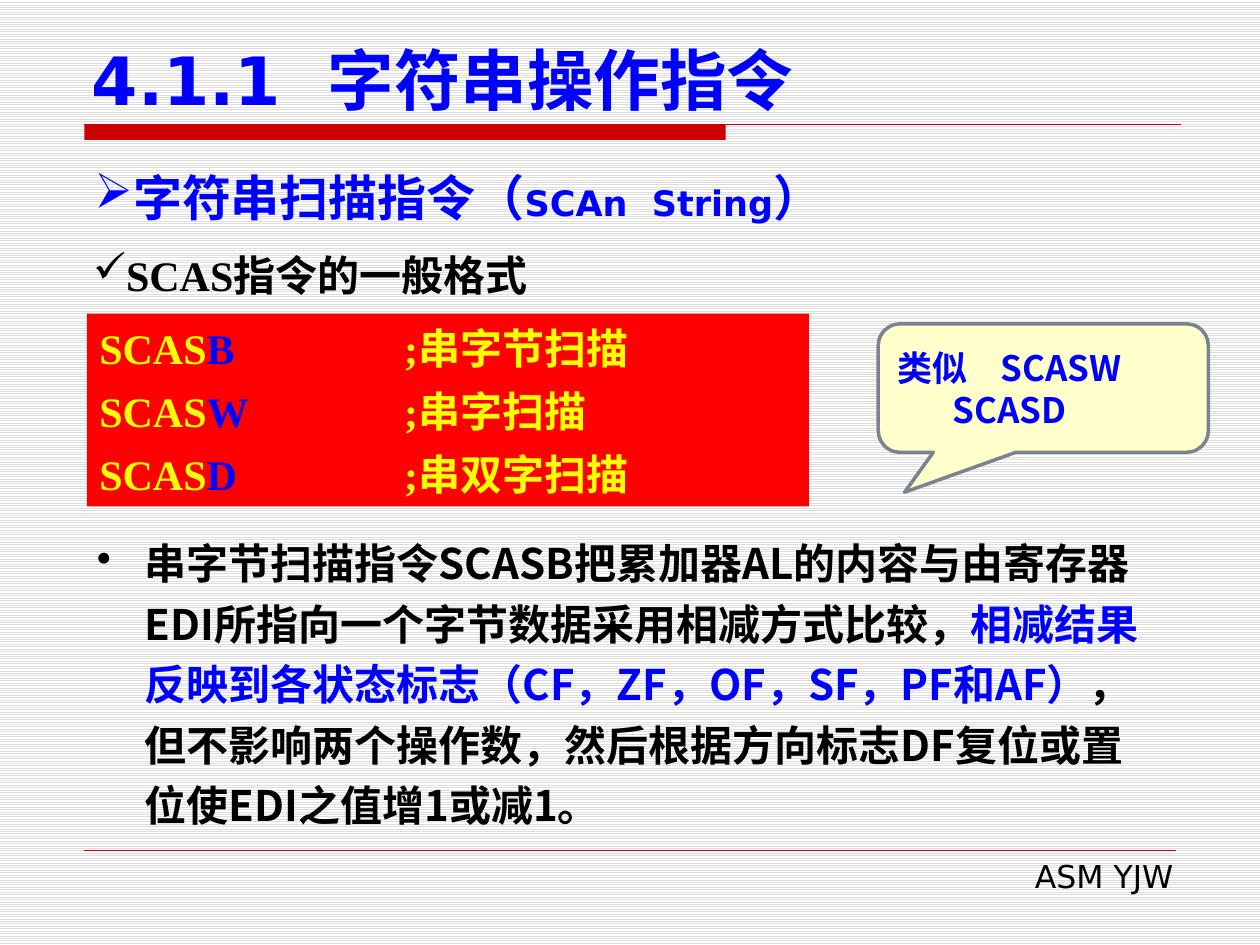
from lxml.etree import SubElement as Sub
from pptx import Presentation
from pptx.dml.color import RGBColor
from pptx.enum.dml import MSO_PATTERN as Pat
from pptx.enum.shapes import MSO_CONNECTOR as Link, MSO_SHAPE as Kind
from pptx.enum.text import MSO_ANCHOR as Anchor, PP_ALIGN as Align
from pptx.oxml.ns import qn
from pptx.util import Inches, Pt

BLUE = RGBColor(0x00, 0x00, 0xFF)
BLACK = RGBColor(0x00, 0x00, 0x00)
WHITE = RGBColor(0xFF, 0xFF, 0xFF)
PALE = RGBColor(0xDD, 0xDD, 0xDD)
DARK = RGBColor(0xCC, 0x00, 0x00)
RED = RGBColor(0xFF, 0x00, 0x00)
GOLD = RGBColor(0xFF, 0xFF, 0x00)
CREAM = RGBColor(0xFF, 0xFF, 0xCC)
GREY = RGBColor(0x79, 0x84, 0x8F)
SANS, NOTO, SERIF = "DejaVu Sans", "Noto Sans CJK SC", "Times New Roman"
WIDE, HIGH = Inches(10), Inches(7.5)
COLS, ROWS = 100, 75


def col(n):
    """Return the length of n grid columns."""
    return round(WIDE * n / COLS)


def row(n):
    """Return the length of n grid rows."""
    return round(HIGH * n / ROWS)


def place(box):
    """Turn a grid box into slide lengths."""
    x, y, w, h = box
    return col(x), row(y), col(w), row(h)


def write(para, parts, face, size, bold=True):
    """Fill a paragraph with (text, colour[, size]) runs."""
    for text, tint, *own in parts:
        run = para.add_run()
        run.text = text
        font = run.font
        font.name, font.bold = face, bold
        font.size = Pt(own[0] if own else size)
        font.color.rgb = tint
        Sub(font._element, qn("a:ea"), typeface=NOTO)


def bullet(para, mark, hang=0):
    """Give a paragraph a bullet and a hanging indent."""
    props = para._p.get_or_add_pPr()
    props.set("marL", str(col(hang)))
    props.set("indent", str(-col(hang)))
    Sub(props, qn("a:buChar"), char=mark)


def tab(para, at):
    """Set one left tab stop."""
    stops = Sub(para._p.get_or_add_pPr(), qn("a:tabLst"))
    Sub(stops, qn("a:tab"), pos=str(col(at)), algn="l")


def label(slide, box, anchor=Anchor.TOP):
    """Add a wrapping text box and return its first paragraph."""
    frame = slide.shapes.add_textbox(*place(box)).text_frame
    frame.word_wrap = True
    frame.vertical_anchor = anchor
    return frame.paragraphs[0]


def block(slide, kind, box, fill, line=None):
    """Add a flat filled shape."""
    shape = slide.shapes.add_shape(kind, *place(box))
    shape.shadow.inherit = False
    shape.fill.solid()
    shape.fill.fore_color.rgb = fill
    if line is None:
        shape.line.fill.background()
    else:
        shape.line.color.rgb = line
        shape.line.width = Pt(2)
    shape.text_frame.word_wrap = True
    return shape


def rule(slide, x, y, w, width):
    """Draw a level red rule."""
    line = slide.shapes.add_connector(
        Link.STRAIGHT, col(x), row(y), col(x + w), row(y))
    line.line.color.rgb = DARK
    line.line.width = Pt(width)
    Sub(line._element.spPr, qn("a:effectLst"))


def header(slide, box):
    """Place the title over its bar and rule."""
    x, y, w, h = box
    para = label(slide, box, Anchor.BOTTOM)
    write(para, [("4.1.1  字符串操作指令", BLUE)], SANS, 38)
    block(slide, Kind.RECTANGLE, (x + 0.4, y + h, 50.9, 1.2), DARK)
    rule(slide, x + 0.4, y + h, 87, 0.75)


def footer(slide, box):
    """Place the footer rule and the author's mark."""
    x, y, w, h = box
    rule(slide, x, y, w, 0.25)
    para = label(slide, (x + 31.5, y, w - 30.7, h))
    para.alignment = Align.RIGHT
    write(para, [("ASM YJW", BLACK)], SANS, 18, False)


def topic(slide, box):
    """Place the section heading."""
    para = label(slide, box)
    para.alignment = Align.JUSTIFY
    bullet(para, "➢")
    write(para, [("字符串扫描指令（", BLUE), ("SCAn  String", BLUE, 20),
                 ("）", BLUE)], SANS, 28)


def lead(slide, box):
    """Place the line that opens the code panel."""
    para = label(slide, box)
    bullet(para, "✓")
    write(para, [("SCAS指令的一般格式", BLACK)], SERIF, 24)


def panel(slide, box):
    """Place the red panel of instruction forms."""
    frame = block(slide, Kind.RECTANGLE, box, RED).text_frame
    frame.vertical_anchor = Anchor.TOP
    forms = [("B", "串字节扫描"), ("W", "串字扫描"), ("D", "串双字扫描")]
    for i, (end, note) in enumerate(forms):
        para = frame.add_paragraph() if i else frame.paragraphs[0]
        para.alignment = Align.LEFT
        para.line_spacing = Pt(30)
        if i:
            para.space_before = Pt(6)
        tab(para, 24.2)
        write(para, [("SCAS", GOLD), (end + "\t", BLUE),
                     (";" + note, GOLD)], SERIF, 24)


def callout(slide, box):
    """Place the speech bubble."""
    shape = block(slide, Kind.ROUNDED_RECTANGULAR_CALLOUT, box, CREAM, GREY)
    for i, value in enumerate((-0.42, 0.81, 0.17)):
        shape.adjustments[i] = value
    frame = shape.text_frame
    frame.vertical_anchor = Anchor.MIDDLE
    first, last = frame.paragraphs[0], frame.add_paragraph()
    tab(first, 8.2)
    last._p.get_or_add_pPr().set("marL", str(col(4.4)))
    for para, text in ((first, "类似\tSCASW"), (last, "SCASD")):
        para.alignment = Align.LEFT
        write(para, [(text, BLUE)], NOTO, 20)


def body(slide, box):
    """Place the explanation."""
    para = label(slide, box)
    para.line_spacing = 1.2
    bullet(para, "•", 3.8)
    write(para, [
        ("串字节扫描指令SCASB把累加器AL的内容与由寄存器EDI所指向"
         "一个字节数据采用相减方式比较，", BLACK),
        ("相减结果反映到各状态标志（CF，ZF，OF，SF，PF和AF）", BLUE),
        ("，但不影响两个操作数，然后根据方向标志DF复位或置位使EDI"
         "之值增1或减1。", BLACK)], NOTO, 24)


def main():
    """Build and save the slide."""
    deck = Presentation()
    deck.slide_width, deck.slide_height = WIDE, HIGH
    slide = deck.slides.add_slide(deck.slide_layouts[6])
    back = slide.background.fill
    back.patterned()
    back.pattern = Pat.LIGHT_HORIZONTAL
    back.fore_color.rgb, back.back_color.rgb = PALE, WHITE
    header(slide, (6.3, 3.3, 87.5, 6.6))
    footer(slide, (6.7, 67.5, 86.6, 4))
    lead(slide, (6.4, 19.3, 73.3, 5))
    panel(slide, (6.9, 24.9, 57.3, 15.3))
    topic(slide, (6.5, 12.8, 86.6, 5.7))
    body(slide, (6.7, 41.4, 86.7, 24.6))
    callout(slide, (69.7, 25.7, 26.2, 10.2))
    deck.save("out.pptx")


if __name__ == "__main__":
    main()
